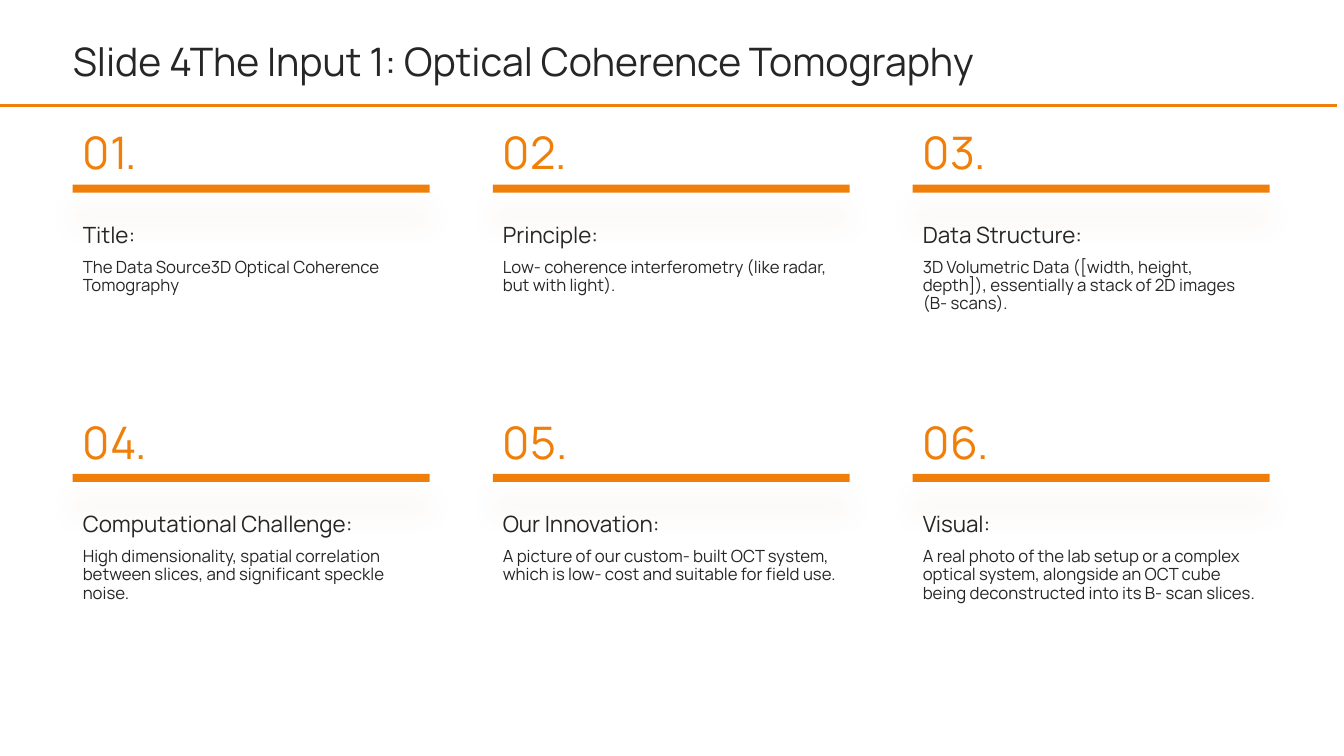
from lxml.etree import SubElement as Sub
from pptx import Presentation as Deck
from pptx.dml.color import RGBColor as Rgb
from pptx.enum.shapes import MSO_CONNECTOR as Link, MSO_SHAPE as Shape
from pptx.enum.text import MSO_ANCHOR as Anchor, MSO_AUTO_SIZE as Fit, PP_ALIGN as Align
from pptx.oxml.ns import qn
from pptx.util import Pt

ORANGE, DARK, SHADE = "F07F09", "262626", "B45F07"


def tint(fmt, code):
    fmt.rgb = Rgb.from_string(code)


class Page:
    """Holds the style and the current slide."""

    font = "Manrope"
    frame = dict(margin_left=0, margin_top=0, margin_right=0, margin_bottom=0,
                 word_wrap=True, auto_size=Fit.NONE)

    def __init__(self, slide):
        self.slide = slide

    def place(self, item, box):
        for key, val in zip(("left", "top", "width", "height"), box):
            setattr(item, key, Pt(val))

    def fill(self, item, text, size, color, anchor, space=1.0):
        frame = item.text_frame
        for key, val in dict(self.frame, vertical_anchor=anchor).items():
            setattr(frame, key, val)
        par = frame.paragraphs[0]
        for key, val in dict(alignment=Align.LEFT, line_spacing=space).items():
            setattr(par, key, val)
        run = par.add_run()
        run.text = text
        for key, val in dict(name=self.font, size=Pt(size)).items():
            setattr(run.font, key, val)
        tint(run.font.color, color)

    def title(self, text, box):
        item = self.slide.shapes.title
        self.place(item, box)
        self.fill(item, text, 28, DARK, Anchor.MIDDLE)

    def text(self, text, box, size, color=DARK, anchor=Anchor.TOP, space=1.0):
        item = self.slide.shapes.add_textbox(*map(Pt, box))
        self.fill(item, text, size, color, anchor, space)

    def bar(self, box):
        item = self.slide.shapes.add_shape(Shape.RECTANGLE, *map(Pt, box))
        item.fill.solid()
        tint(item.fill.fore_color, ORANGE)
        item.line.fill.background()
        # Soft shadow straight below
        item.shadow.inherit = False
        glow = Sub(item.element.spPr.find(qn("a:effectLst")), qn("a:outerShdw"),
                   blurRad=str(Pt(20)), dist=str(Pt(20)), dir="5400000",
                   algn="t", rotWithShape="0")
        tone = Sub(glow, qn("a:srgbClr"), val=SHADE)
        Sub(tone, qn("a:alpha"), val="10000")

    def rule(self, start, end):
        item = self.slide.shapes.add_connector(Link.STRAIGHT, *map(Pt, start + end))
        item.line.width = Pt(2.25)
        tint(item.line.color, ORANGE)
        Sub(item.element.spPr, qn("a:effectLst"))


CARDS = [
    ("Title:", "The Data Source3D Optical Coherence Tomography"),
    ("Principle:", "Low- coherence interferometry (like radar, but with light)."),
    ("Data Structure:", "3D Volumetric Data ([width, height, depth]), "
     "essentially a stack of 2D images (B- scans)."),
    ("Computational Challenge:", "High dimensionality, spatial correlation "
     "between slices, and significant speckle noise."),
    ("Our Innovation:", "A picture of our custom- built OCT system, "
     "which is low- cost and suitable for field use."),
    ("Visual:", "A real photo of the lab setup or a complex optical system, "
     "alongside an OCT cube being deconstructed into its B- scan slices."),
]


def main():
    deck = Deck()
    deck.slide_width, deck.slide_height = Pt(960), Pt(540)
    page = Page(deck.slides.add_slide(deck.slide_layouts[5]))

    # Heading
    page.title("Slide 4The Input 1: Optical Coherence Tomography",
               (52, 25.2, 840, 36.7))
    page.rule((0, 75.5), (955, 75.5))

    # Cards, three to a row
    for num, (head, body) in enumerate(CARDS):
        row, col = divmod(num, 3)
        left, top = 52 + 300 * col, 89.3 + 206.6 * row
        inner = left + 7.2
        page.text(f"{num + 1:02}.", (inner, top, 241, 36.7), 32, ORANGE)
        page.bar((left, top + 42.5, 255, 5.8))
        page.text(head, (inner, top + 61.2, 241, 33.8), 16, anchor=Anchor.MIDDLE)
        page.text(body, (inner, top + 95.8, 241, 91.4), 12, space=0.9)

    deck.save("out.pptx")


if __name__ == "__main__":
    main()
